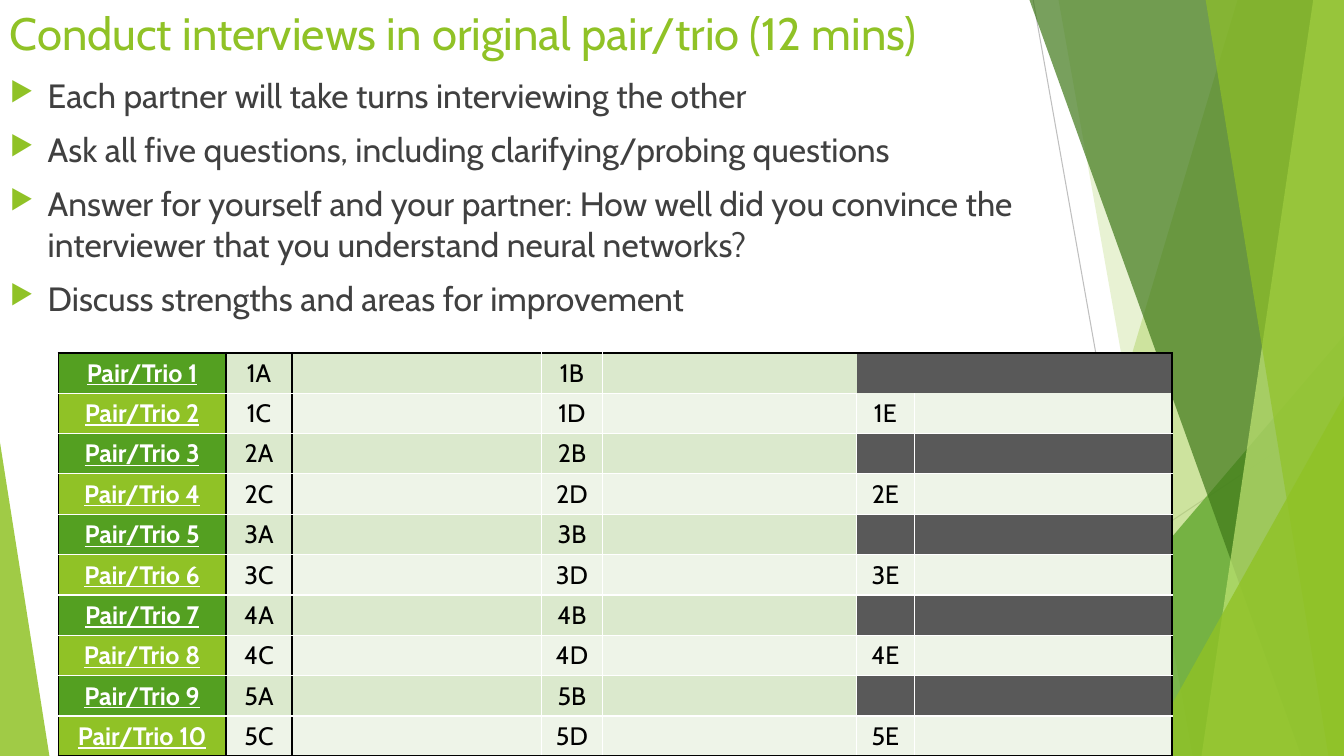
from lxml import etree
from pptx import Presentation
from pptx import util as u
from pptx.dml.color import RGBColor
from pptx.enum import shapes, text
from pptx.oxml import ns

Pt = u.Pt
FONT = "Cabin"
WHITE = RGBColor(0xFF, 0xFF, 0xFF)
BLACK = RGBColor(0, 0, 0)
TEXT = RGBColor(0x40, 0x40, 0x40)
LIME = RGBColor(0x90, 0xC2, 0x26)
GREEN = RGBColor(0x54, 0xA0, 0x21)
FOREST = RGBColor(0x3F, 0x78, 0x19)
PALE_LIME = RGBColor(0xC0, 0xE4, 0x74)
BAND_DARK = RGBColor(0xDB, 0xE9, 0xCD)
BAND_LIGHT = RGBColor(0xEE, 0xF4, 0xE8)
BLOCKED = RGBColor(0x59, 0x59, 0x59)
LINE_DARK = RGBColor(0xBF, 0xBF, 0xBF)
LINE_LIGHT = RGBColor(0xD9, 0xD9, 0xD9)

WIDTH, HEIGHT = 960, 540
ROWS = 10
COL_WIDTHS = (119.52, 47.52, 177.84, 43.92, 181.44, 41.04, 184.32)
BULLETS = (
    "Each partner will take turns interviewing the other",
    "Ask all five questions, including clarifying/probing questions",
    "Answer for yourself and your partner: How well did you convince the "
    "interviewer that you understand neural networks?",
    "Discuss strengths and areas for improvement",
)


def sub(parent, tag, **attrs):
    """Append a DrawingML child element."""
    el = etree.SubElement(parent, ns.qn("a:" + tag))
    for name, value in attrs.items():
        el.set(name, str(value))
    return el


def add_line(s, x1, y1, x2, y2, color):
    """Add a thin straight line."""
    ln = s.shapes.add_connector(shapes.MSO_CONNECTOR.STRAIGHT,
                                Pt(x1), Pt(y1), Pt(x2), Pt(y2))
    ln.line.color.rgb = color
    ln.line.width = Pt(0.75)
    sub(ln._element.spPr, "effectLst")


def paint(sp, color, opacity):
    """Give a shape a translucent fill, without outline or shadow."""
    sp.shadow.inherit = False
    sp.line.fill.background()
    sp.fill.solid()
    sp.fill.fore_color.rgb = color
    clr = sp._element.spPr.find(".//" + ns.qn("a:srgbClr"))
    sub(clr, "alpha", val=opacity * 1000)


def add_facet(s, top_x, bottom_x, color, opacity):
    """Add a full-height facet from a slanted left edge to the slide's right."""
    top = -0.72
    fb = s.shapes.build_freeform(Pt(top_x), Pt(top))
    fb.add_line_segments([(Pt(WIDTH), Pt(top)), (Pt(WIDTH), Pt(HEIGHT)),
                          (Pt(bottom_x), Pt(HEIGHT))], close=True)
    paint(fb.convert_to_shape(), color, opacity)


def add_corner(s, x, y, w, apex, color, opacity):
    """Add a triangle standing on the slide's bottom edge."""
    sp = s.shapes.add_shape(shapes.MSO_SHAPE.ISOSCELES_TRIANGLE,
                            Pt(x), Pt(y), Pt(w), Pt(HEIGHT - y))
    sp.adjustments[0] = apex
    paint(sp, color, opacity)


def style(p, size, color, bold=False, underline=False):
    """Set the font of a paragraph."""
    p.font.name = FONT
    p.font.size = Pt(size)
    p.font.bold = bold
    p.font.underline = underline
    p.font.color.rgb = color


def add_text(s, y, w, h, lines, size, color, bulleted=False):
    """Add a text box at the left edge, one paragraph a line."""
    tf = s.shapes.add_textbox(0, Pt(y), Pt(w), Pt(h)).text_frame
    tf.word_wrap = True
    tf.vertical_anchor = text.MSO_ANCHOR.TOP
    tf.text = "\n".join(lines)
    for p in tf.paragraphs:
        if bulleted:
            p.space_before = Pt(10)
            add_bullet(p)
        style(p, size, color)


def add_bullet(p):
    """Give a paragraph a lime triangle bullet with a hanging indent."""
    pPr = p._p.get_or_add_pPr()
    pPr.set("marL", str(Pt(27)))
    pPr.set("indent", str(-Pt(27)))
    sub(sub(pPr, "buClr"), "srgbClr", val=LIME)
    sub(pPr, "buSzPct", val=80000)
    sub(pPr, "buChar", char="\u25b6")


def vertical_edge(row, x):
    """Colour of the cell edge at column boundary x."""
    if x in (0, 1, 2, len(COL_WIDTHS)):
        return BLACK
    return None if row == 0 and x >= 5 else WHITE


def horizontal_edge(y, col):
    """Colour of the cell edge at row boundary y."""
    if y in (0, ROWS):
        return BLACK
    return None if y == 1 and col >= 5 else WHITE


def set_borders(cell, row, col):
    """Draw the four borders of a cell."""
    tcPr = cell._tc.get_or_add_tcPr()
    edges = {"lnL": vertical_edge(row, col), "lnR": vertical_edge(row, col + 1),
             "lnT": horizontal_edge(row, col), "lnB": horizontal_edge(row + 1, col)}
    for tag, color in edges.items():
        ln = sub(tcPr, tag, w=Pt(1.5 if color == BLACK else 1))
        if color is None:
            sub(ln, "noFill")
        else:
            sub(sub(ln, "solidFill"), "srgbClr", val=color)


def row_labels(row):
    """Texts of a row: pairs take A and B, trios take C, D and E."""
    group = row // 2 + 1
    a, b, c = ("C", "D", "E") if row % 2 else ("A", "B", "")
    third = f"{group}{c}" if c else ""
    return f"Pair/Trio {row + 1}", f"{group}{a}", "", f"{group}{b}", "", third, ""


def cell_fill(row, col):
    """Fill colour of a cell."""
    trio = row % 2
    if col == 0:
        return LIME if trio else GREEN
    if trio:
        return BAND_LIGHT
    return BLOCKED if col >= 5 else BAND_DARK


def add_pairs_table(s):
    """Add the table of pairs and trios."""
    tbl = s.shapes.add_table(ROWS, len(COL_WIDTHS), Pt(41.76), Pt(252),
                             Pt(sum(COL_WIDTHS)), Pt(288)).table
    tbl.first_row = tbl.horz_banding = False
    for column, w in zip(tbl.columns, COL_WIDTHS):
        column.width = Pt(w)
    for row in range(ROWS):
        for col, label in enumerate(row_labels(row)):
            cell = tbl.cell(row, col)
            set_borders(cell, row, col)
            cell.fill.solid()
            cell.fill.fore_color.rgb = cell_fill(row, col)
            cell.text = label
            p = cell.text_frame.paragraphs[0]
            p.alignment = text.PP_ALIGN.CENTER
            head = col == 0
            style(p, 18, WHITE if head else BLACK, head, head)


def main():
    """Build and save the slide."""
    prs = Presentation()
    prs.slide_width, prs.slide_height = Pt(WIDTH), Pt(HEIGHT)
    s = prs.slides.add_slide(prs.slide_layouts[6])

    add_line(s, 738, 0, 833.76, HEIGHT, LINE_DARK)
    add_line(s, WIDTH, 290.16, 584.64, HEIGHT, LINE_LIGHT)
    add_facet(s, 884.16, 722.88, LIME, 30)
    add_facet(s, 756, 851.76, LIME, 20)
    add_corner(s, 703.44, 239.76, 256.56, 1, GREEN, 72)
    add_facet(s, 735.12, 929.52, FOREST, 70)
    add_facet(s, 938.16, 858.24, PALE_LIME, 70)
    add_facet(s, 861.12, 948.96, LIME, 65)
    add_corner(s, 816.48, 282.96, 143.52, 1, LIME, 80)
    add_corner(s, 0, 316.08, 35.28, 0, LIME, 85)

    add_text(s, 0, 743.76, 52.56,
             ["Conduct interviews in original pair/trio (12 mins)"], 32.4, LIME)
    add_text(s, 49.68, 750.24, 187.92, BULLETS, 24, TEXT, bulleted=True)
    add_pairs_table(s)
    prs.save("out.pptx")


main()
